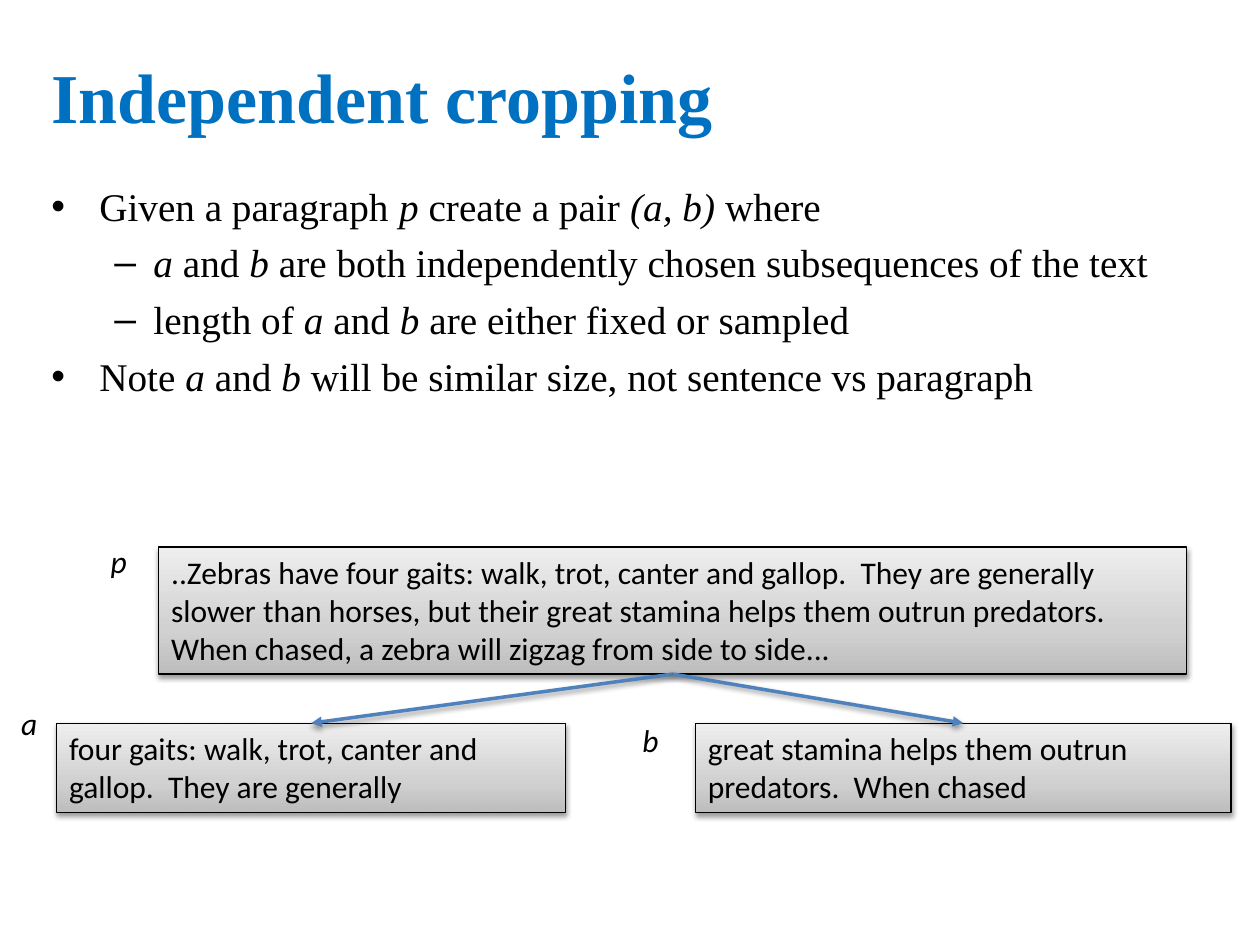
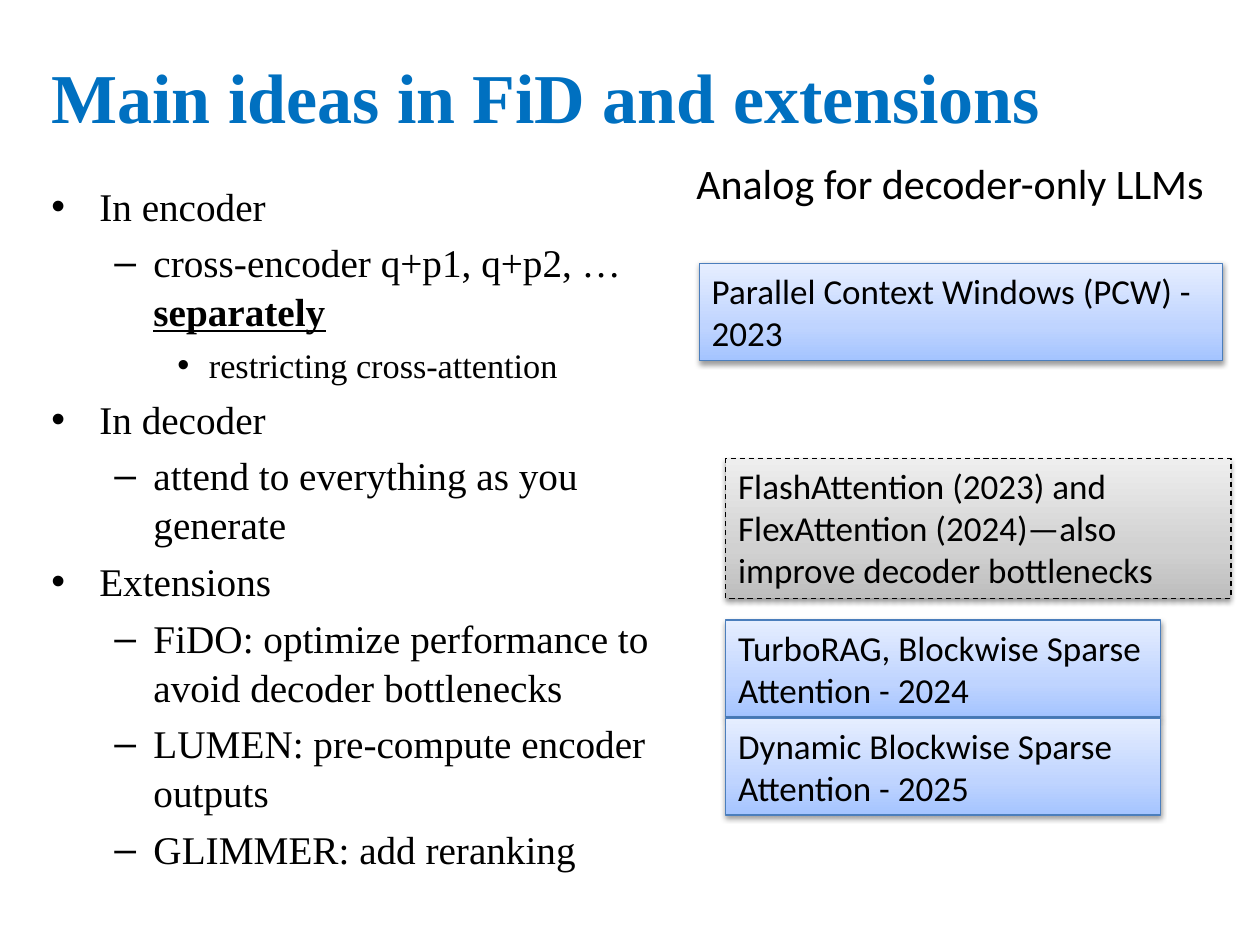
import copy
from dataclasses import dataclass

import lxml.etree
import pptx
import pptx.dml.color
import pptx.enum.dml
import pptx.enum.shapes
import pptx.enum.text
import pptx.oxml.ns
import pptx.util

Inches = pptx.util.Inches
Pt = pptx.util.Pt
qn = pptx.oxml.ns.qn
ANCHOR = pptx.enum.text.MSO_ANCHOR


@dataclass(frozen=True)
class Theme:
    serif: str = "Times New Roman"
    sans: str = "Calibri"
    title_color: str = "0070C0"
    text_color: str = "000000"
    arrow_color: str = "4F81BD"
    title_size: float = 40
    heading_size: float = 24
    method_size: float = 20
    passage_size: float = 18
    bullet_space: float = 4.5
    bullet_spacing: float = 1.04
    # Gradient stops run from the bottom edge to the top edge
    stops: tuple = (0, 0.35, 1)
    gray: tuple = ("BDBDBD", "D1D1D1", "EEEEEE")
    blue: tuple = ("A4C4FF", "BFD4FF", "E6EEFF")
    gray_line: str = "000000"
    blue_line: str = "4B7EBC"


THEME = Theme()

# Per level: bullet, text indent, hanging indent, type size
BULLET_LEVELS = (
    ("•", 0.38, 0.38, 22.4),
    ("–", 0.81, 0.31, 22.4),
    ("•", 1.25, 0.25, 19.6),
)

TITLE_BOX = (0.31, 0.32, 9.46, 0.88)


def rgb(value):
    return pptx.dml.color.RGBColor.from_string(value)


def add_span(para, text, font, size, color=THEME.text_color, style=""):
    """Add one run; style letters are b, i and u."""
    span = para.add_run()
    span.text = text
    span.font.name = font
    span.font.size = Pt(size)
    span.font.color.rgb = rgb(color)
    span.font.bold = "b" in style
    span.font.italic = "i" in style
    span.font.underline = "u" in style


def add_text_box(page, box, anchor=ANCHOR.TOP, wrap=True):
    frame = page.shapes.add_textbox(*map(Inches, box)).text_frame
    frame.word_wrap = wrap
    frame.vertical_anchor = anchor
    return frame


def add_title(page, text):
    frame = add_text_box(page, TITLE_BOX, ANCHOR.MIDDLE)
    add_span(frame.paragraphs[0], text, THEME.serif, THEME.title_size,
             THEME.title_color, "b")


def add_bullets(page, box, items):
    """Each item is a level and a list of (text, style) spans."""
    frame = add_text_box(page, box)
    for index, (level, spans) in enumerate(items):
        para = frame.add_paragraph() if index else frame.paragraphs[0]
        mark, indent, hanging, size = BULLET_LEVELS[level]
        para.level = level
        para.line_spacing = THEME.bullet_spacing
        if index:
            para.space_before = Pt(THEME.bullet_space)
        properties = para._p.get_or_add_pPr()
        properties.set("marL", str(Inches(indent)))
        properties.set("indent", str(-Inches(hanging)))
        lxml.etree.SubElement(properties, qn("a:buFont"), typeface="Arial")
        lxml.etree.SubElement(properties, qn("a:buChar"), char=mark)
        for text, style in spans:
            add_span(para, text, THEME.serif, size, style=style)


def add_shadow(shape):
    """Give a shape or connector the soft drop shadow."""
    effects = lxml.etree.SubElement(shape._element.spPr, qn("a:effectLst"))
    shadow = lxml.etree.SubElement(
        effects, qn("a:outerShdw"), blurRad=str(Pt(3.1)), dist=str(Pt(1.6)),
        dir="5400000", rotWithShape="0")
    color = lxml.etree.SubElement(shadow, qn("a:srgbClr"), val="000000")
    lxml.etree.SubElement(color, qn("a:alpha"), val="38000")


def fill_gradient(shape, colors):
    shape.fill.gradient()
    shape.fill.gradient_angle = 90
    stop_list = shape._element.spPr.find(".//" + qn("a:gsLst"))
    stop_list.append(copy.deepcopy(stop_list[-1]))
    for stop, position, color in zip(shape.fill.gradient_stops,
                                     THEME.stops, colors):
        stop.position = position
        stop.color.rgb = rgb(color)


def add_card(page, box, text, size, colors, line_color, dashed=False):
    card = page.shapes.add_shape(
        pptx.enum.shapes.MSO_SHAPE.RECTANGLE, *map(Inches, box))
    fill_gradient(card, colors)
    card.line.color.rgb = rgb(line_color)
    card.line.width = Pt(0.75)
    if dashed:
        card.line.dash_style = pptx.enum.dml.MSO_LINE.DASH
    add_shadow(card)
    frame = card.text_frame
    frame.word_wrap = True
    frame.vertical_anchor = ANCHOR.TOP
    para = frame.paragraphs[0]
    para.alignment = pptx.enum.text.PP_ALIGN.LEFT
    add_span(para, text, THEME.sans, size)
    return card


def add_arrow(page, source, target):
    """Join the bottom of one card to the top of another."""
    arrow = page.shapes.add_connector(
        pptx.enum.shapes.MSO_CONNECTOR.STRAIGHT, 0, 0, 0, 0)
    arrow.begin_connect(source, 2)
    arrow.end_connect(target, 0)
    arrow.line.color.rgb = rgb(THEME.arrow_color)
    arrow.line.width = Pt(2)
    lxml.etree.SubElement(arrow.line._get_or_add_ln(), qn("a:tailEnd"),
                          type="triangle")
    add_shadow(arrow)


def add_cropping_diagram(page, left, top):
    """A paragraph above the two subsequences cropped from it."""
    def passage(x, y, width, height, text):
        return add_card(page, (left + x, top + y, width, height), text,
                        THEME.passage_size, THEME.gray, THEME.gray_line)

    paragraph = passage(
        0.81, 0, 8.16, 1.01,
        "..Zebras have four gaits: walk, trot, canter and gallop.  They are "
        "generally slower than horses, but their great stamina helps them "
        "outrun predators. When chased, a zebra will zigzag from side to "
        "side...")
    crops = (
        passage(0, 1.4, 4.04, 0.71,
                "four gaits: walk, trot, canter and gallop.  "
                "They are generally"),
        passage(5.07, 1.4, 4.25, 0.71,
                "great stamina helps them outrun predators.  When chased"),
    )

    # Names of the passages
    for name, x, y in (("p", 0.33, -0.09), ("a", -0.38, 1.2),
                       ("b", 4.55, 1.33)):
        frame = add_text_box(page, (left + x, top + y, 0.34, 0.4))
        add_span(frame.paragraphs[0], name, THEME.sans, THEME.passage_size,
                 style="i")

    for crop in crops:
        add_arrow(page, paragraph, crop)


def add_analog_column(page, left, top):
    """Heading and cards for the decoder-only counterparts."""
    frame = add_text_box(page, (left, top, 4.3, 0.5), wrap=False)
    para = frame.paragraphs[0]
    para.alignment = pptx.enum.text.PP_ALIGN.CENTER
    add_span(para, "Analog for decoder-only LLMs", THEME.sans,
             THEME.heading_size)

    blue = (THEME.blue, THEME.blue_line)
    gray_dashed = (THEME.gray, THEME.gray_line, True)
    cards = (
        (0.37, 2.44, 4.01, 1.11, gray_dashed,
         "FlashAttention (2023) and FlexAttention (2024)—also improve "
         "decoder bottlenecks"),
        (0.16, 0.89, 4.15, 0.77, blue,
         "Parallel Context Windows (PCW) - 2023"),
        (0.37, 3.72, 3.45, 0.77, blue,
         "TurboRAG, Blockwise Sparse Attention - 2024"),
        (0.37, 4.5, 3.45, 0.77, blue,
         "Dynamic Blockwise Sparse Attention - 2025"),
    )
    for x, y, width, height, look, text in cards:
        add_card(page, (left + x, top + y, width, height), text,
                 THEME.method_size, *look)


def build_cropping_page(page):
    add_title(page, "Independent cropping")
    add_bullets(page, (0.31, 1.38, 9.11, 2.17), (
        (0, [("Given a paragraph ", ""), ("p ", "i"), ("create a pair", ""),
             (" (a, b) ", "i"), ("where", "")]),
        (1, [("a ", "i"), ("and ", ""), ("b ", "i"),
             ("are both independently chosen subsequences of the text", "")]),
        (1, [("length of ", ""), ("a ", "i"), ("and ", ""), ("b ", "i"),
             ("are either fixed or sampled", "")]),
        (0, [("Note ", ""), ("a ", "i"), ("and ", ""), ("b ", "i"),
             ("will be similar size, not sentence vs paragraph", "")]),
    ))
    add_cropping_diagram(page, 0.45, 4.34)


def build_ideas_page(page):
    add_title(page, "Main ideas in FiD and extensions")
    add_bullets(page, (0.31, 1.38, 5.09, 5.23), (
        (0, [("In encoder", "")]),
        (1, [("cross-encoder q+p1, q+p2, … ", ""), ("separately", "bu")]),
        (2, [("restricting cross-attention", "")]),
        (0, [("In decoder", "")]),
        (1, [("attend to everything as you generate", "")]),
        (0, [("Extensions", "")]),
        (1, [("FiDO: optimize performance to avoid decoder bottlenecks",
              "")]),
        (1, [("LUMEN: pre-compute encoder outputs", "")]),
        (1, [("GLIMMER: add reranking", "")]),
    ))
    add_analog_column(page, 5.39, 1.2)


def main():
    deck = pptx.Presentation()
    deck.slide_width = Inches(10)
    deck.slide_height = Inches(7.5)
    blank = deck.slide_layouts[6]
    for build in (build_cropping_page, build_ideas_page):
        build(deck.slides.add_slide(blank))
    deck.save("out.pptx")


if __name__ == "__main__":
    main()
